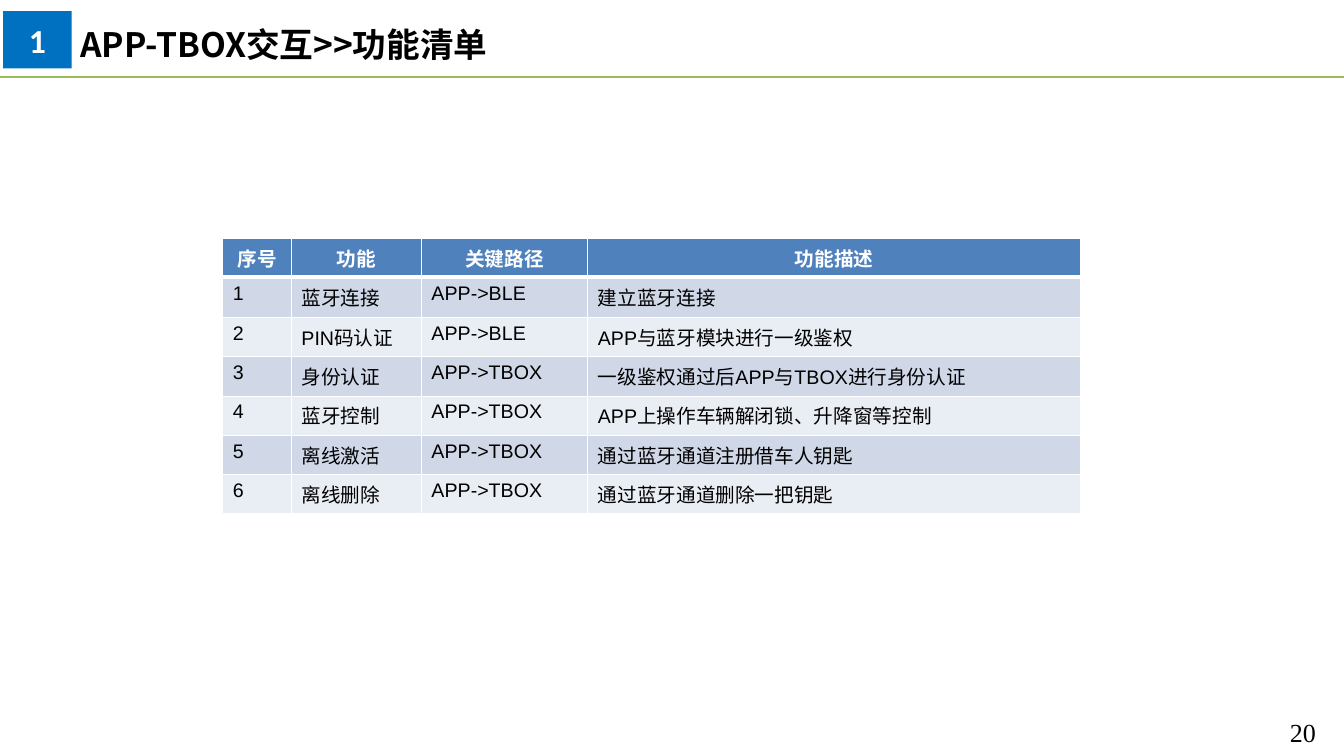
from lxml.etree import SubElement
from pptx import Presentation
from pptx.dml.color import RGBColor
from pptx.enum.shapes import MSO_CONNECTOR, MSO_SHAPE
from pptx.enum.text import MSO_ANCHOR, PP_ALIGN
from pptx.oxml.ns import qn
from pptx.util import Inches, Pt

WHITE = RGBColor(0xFF, 0xFF, 0xFF)
BLACK = RGBColor(0x00, 0x00, 0x00)
BADGE_BLUE = RGBColor(0x00, 0x70, 0xC0)
RULE_GREEN = RGBColor(0x9B, 0xBB, 0x59)
HEADER_BLUE = RGBColor(0x4F, 0x81, 0xBD)
BAND_DARK = RGBColor(0xD0, 0xD8, 0xE8)
BAND_LIGHT = RGBColor(0xE9, 0xED, 0xF4)

CJK_FONT = "Noto Sans CJK SC"
COLUMN_WIDTHS = [0.68, 1.29, 1.65, 4.89]
ROW_HEIGHTS = [0.38, 0.4] + [0.39] * 5
HEADERS = ["序号", "功能", "关键路径", "功能描述"]
FUNCTIONS = [
    ("蓝牙连接", "APP->BLE", "建立蓝牙连接"),
    ("PIN码认证", "APP->BLE", "APP与蓝牙模块进行一级鉴权"),
    ("身份认证", "APP->TBOX", "一级鉴权通过后APP与TBOX进行身份认证"),
    ("蓝牙控制", "APP->TBOX", "APP上操作车辆解闭锁、升降窗等控制"),
    ("离线激活", "APP->TBOX", "通过蓝牙通道注册借车人钥匙"),
    ("离线删除", "APP->TBOX", "通过蓝牙通道删除一把钥匙"),
]


def write_text(text_frame, text, size, font_name, color, bold=False, align=PP_ALIGN.LEFT):
    paragraph = text_frame.paragraphs[0]
    paragraph.text = text
    paragraph.alignment = align
    font = paragraph.font
    font.size = Pt(size)
    font.name = font_name
    font.bold = bold
    font.color.rgb = color
    properties = paragraph._p.pPr.find(qn("a:defRPr"))
    SubElement(properties, qn("a:ea")).set("typeface", CJK_FONT)


def add_text(slide, left, top, width, height, anchor, text, *style):
    box = slide.shapes.add_textbox(Inches(left), Inches(top), Inches(width), Inches(height))
    box.text_frame.word_wrap = True
    box.text_frame.vertical_anchor = anchor
    write_text(box.text_frame, text, *style)


def add_rule(slide, top):
    rule = slide.shapes.add_connector(
        MSO_CONNECTOR.STRAIGHT, Inches(0), Inches(top), Inches(13.33), Inches(top)
    )
    rule.line.color.rgb = RULE_GREEN
    rule.line.width = Pt(0.25)
    SubElement(rule._element.spPr, qn("a:effectLst"))


def add_badge(slide, text):
    badge = slide.shapes.add_shape(
        MSO_SHAPE.RECTANGLE, Inches(0.03), Inches(0.11), Inches(0.68), Inches(0.57)
    )
    badge.shadow.inherit = False
    badge.fill.solid()
    badge.fill.fore_color.rgb = BADGE_BLUE
    badge.line.fill.background()
    badge.text_frame.vertical_anchor = MSO_ANCHOR.MIDDLE
    write_text(badge.text_frame, text, 24, "Calibri", WHITE, True, PP_ALIGN.CENTER)


def set_borders(cell, top, bottom):
    properties = cell._tc.get_or_add_tcPr()
    for side, width in (("L", 1), ("R", 1), ("T", top), ("B", bottom)):
        line = SubElement(properties, qn(f"a:ln{side}"), w=str(Pt(width)))
        fill = SubElement(line, qn("a:solidFill"))
        SubElement(fill, qn("a:srgbClr"), val=str(WHITE))


def add_function_table(slide):
    rows = [HEADERS] + [(str(number), *row) for number, row in enumerate(FUNCTIONS, 1)]
    table = slide.shapes.add_table(
        len(rows), len(HEADERS), Inches(2.21), Inches(2.37),
        Inches(sum(COLUMN_WIDTHS)), Inches(sum(ROW_HEIGHTS)),
    ).table
    for column, width in zip(table.columns, COLUMN_WIDTHS):
        column.width = Inches(width)
    for row_index, values in enumerate(rows):
        table.rows[row_index].height = Inches(ROW_HEIGHTS[row_index])
        is_header = row_index == 0
        band = BAND_DARK if row_index % 2 else BAND_LIGHT
        for column_index, value in enumerate(values):
            cell = table.cell(row_index, column_index)
            set_borders(cell, 3 if row_index == 1 else 1, 3 if is_header else 1)
            cell.fill.solid()
            cell.fill.fore_color.rgb = HEADER_BLUE if is_header else band
            write_text(
                cell.text_frame, value, 14, "Arial",
                WHITE if is_header else BLACK, is_header,
                PP_ALIGN.CENTER if is_header else PP_ALIGN.LEFT,
            )


def main():
    presentation = Presentation()
    presentation.slide_width = Inches(13.33)
    presentation.slide_height = Inches(7.5)
    slide = presentation.slides.add_slide(presentation.slide_layouts[6])
    for top in (0.76, 0.77):
        add_rule(slide, top)
    add_text(slide, 12.4, 7.02, 0.75, 0.48, MSO_ANCHOR.MIDDLE,
             "20", 18.6, "Times New Roman", BLACK, False, PP_ALIGN.RIGHT)
    add_text(slide, 0.7, 0.19, 5.7, 0.41, MSO_ANCHOR.TOP,
             "APP-TBOX交互>>功能清单", 24, CJK_FONT, BLACK, True)
    add_badge(slide, "1")
    add_function_table(slide)
    presentation.save("out.pptx")


if __name__ == "__main__":
    main()
